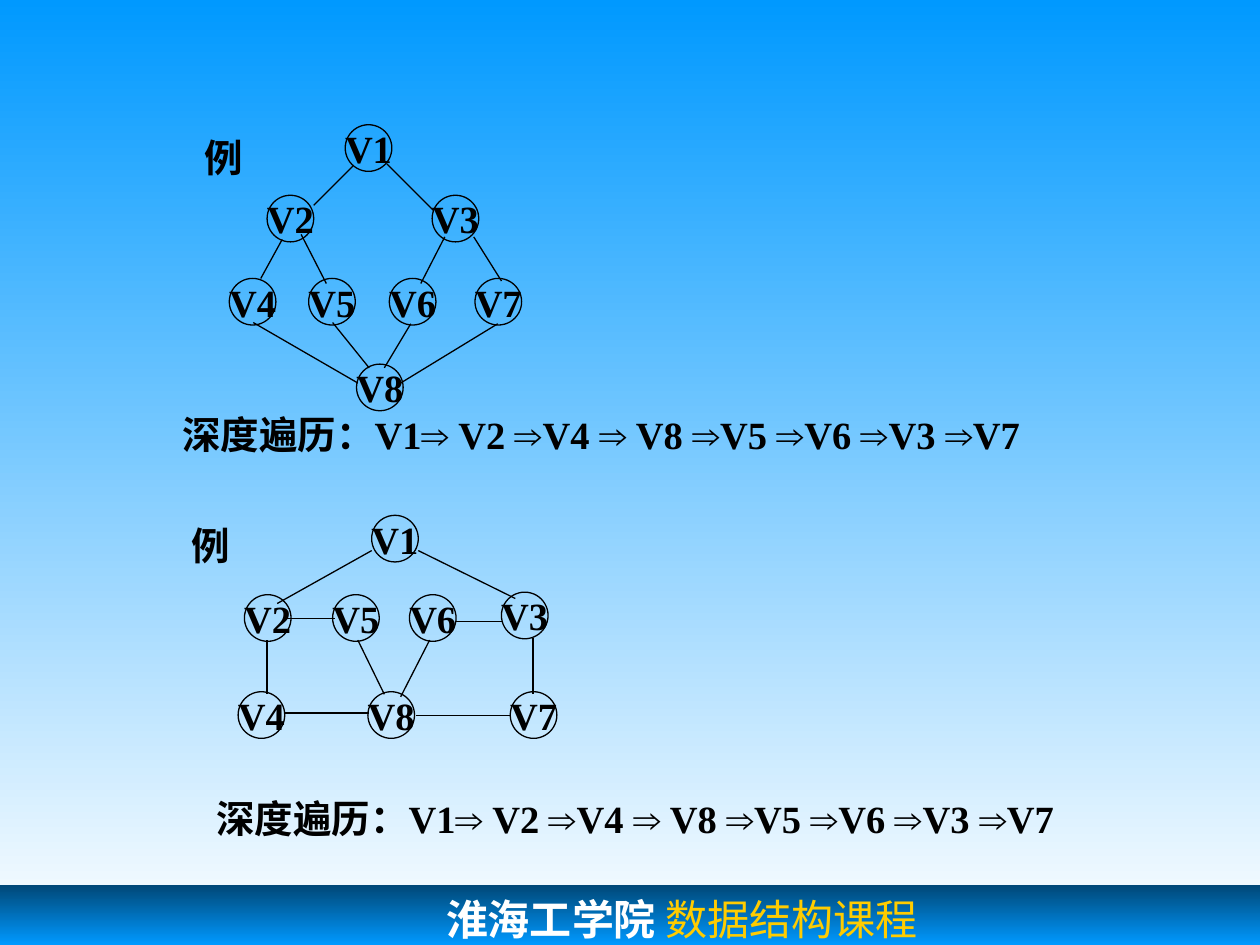
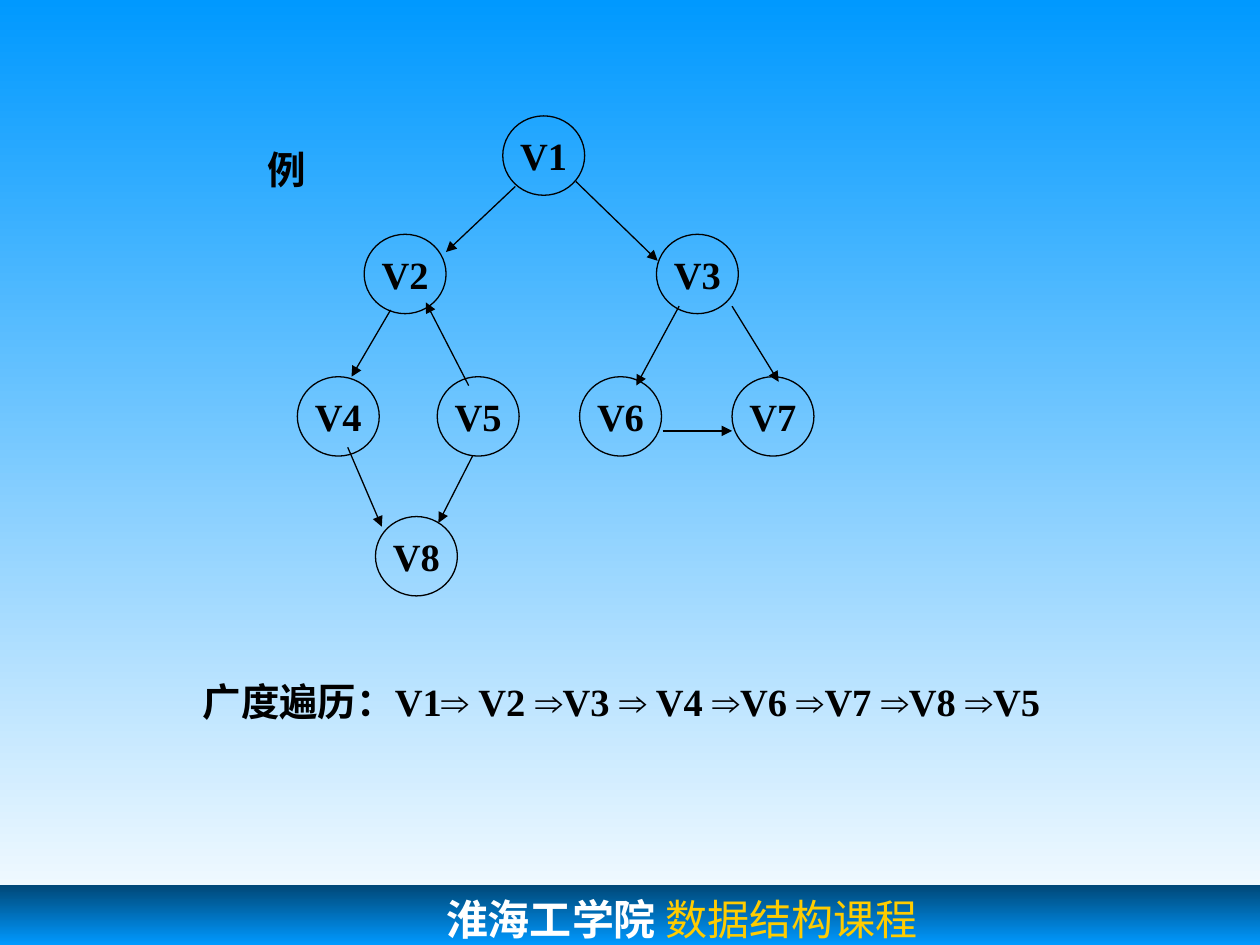
from lxml import etree
from pptx import Presentation
from pptx.dml.color import RGBColor
from pptx.enum.shapes import MSO_CONNECTOR, MSO_SHAPE
from pptx.enum.text import MSO_ANCHOR, MSO_AUTO_SIZE, PP_ALIGN
from pptx.oxml.ns import qn
from pptx.util import Inches, Pt

OVAL, RECT = MSO_SHAPE.OVAL, MSO_SHAPE.RECTANGLE
LINE = MSO_CONNECTOR.STRAIGHT
MID, TOP = MSO_ANCHOR.MIDDLE, MSO_ANCHOR.TOP
LEFT, MIDST = PP_ALIGN.LEFT, PP_ALIGN.CENTER
FIXED = MSO_AUTO_SIZE.NONE

BLACK = RGBColor(0x00, 0x00, 0x00)
WHITE = RGBColor(0xFF, 0xFF, 0xFF)
SKY = RGBColor(0x00, 0x99, 0xFF)
NAVY = RGBColor(0x00, 0x47, 0x76)
GOLD = RGBColor(0xFF, 0xCC, 0x00)

BODY = {"name": "Times New Roman", "size": Pt(22), "bold": True}
ARROW = {**BODY, "name": "Arial"}
SCHOOL = {"name": "Courier New", "size": Pt(24), "bold": True}
COURSE = {"name": "Times New Roman", "size": Pt(24), "bold": False}

CENTER = {"word_wrap": False, "vertical_anchor": MID, "auto_size": FIXED}
FLOW = {"word_wrap": True, "vertical_anchor": TOP, "auto_size": FIXED}
FOOT = {**FLOW, "margin_left": Inches(3.54), "margin_top": Inches(0.07),
        "margin_right": 0, "margin_bottom": 0}


def write(shape, runs, frame, align):
    for key, val in frame.items():
        setattr(shape.text_frame, key, val)
    para = shape.text_frame.paragraphs[0]
    para.alignment = align
    for text, look, color in runs:
        run = para.add_run()
        run.text = text
        for key, val in look.items():
            setattr(run.font, key, val)
        run.font.color.rgb = color


def shade(fill, first, last):
    fill.gradient()
    fill.gradient_angle = 270
    for stop, color in zip(fill.gradient_stops, (first, last)):
        stop.color.rgb = color


TREE = {
    "label": (1.53, 1.01), "size": (0.37, 0.37), "arrow": False,
    "nodes": {"V1": (2.74, 0.99), "V2": (2.12, 1.55), "V3": (3.43, 1.55),
              "V4": (1.82, 2.21), "V5": (2.45, 2.21), "V6": (3.09, 2.21),
              "V7": (3.77, 2.21), "V8": (2.83, 2.89)},
    "edges": [(2.8, 1.32, 2.49, 1.63), (3.07, 1.3, 3.44, 1.67),
              (2.24, 1.9, 2.07, 2.21), (2.39, 1.86, 2.59, 2.25),
              (3.53, 1.88, 3.34, 2.25), (3.76, 1.88, 3.98, 2.23),
              (2.64, 2.56, 2.93, 2.92), (3.26, 2.57, 3.05, 2.92),
              (2.01, 2.56, 2.84, 3.04), (3.95, 2.57, 3.18, 3.04)],
    "order": (1.35, 3.21),
    "text": "深度遍历：V1⇒ V2 ⇒V4 ⇒ V8 ⇒V5 ⇒V6 ⇒V3 ⇒V7",
}
MESH = {
    "label": (1.42, 4.09), "size": (0.37, 0.37), "arrow": False,
    "nodes": {"V1": (2.95, 4.09), "V2": (1.94, 4.72), "V5": (2.64, 4.72),
              "V6": (3.25, 4.72), "V3": (3.98, 4.7), "V4": (1.89, 5.49),
              "V8": (2.92, 5.49), "V7": (4.05, 5.49)},
    "edges": [(2.95, 4.37, 2.2, 4.79), (3.32, 4.37, 4.09, 4.75),
              (2.28, 4.91, 2.66, 4.91), (3.61, 4.93, 3.99, 4.93),
              (2.12, 5.08, 2.12, 5.51), (2.26, 5.66, 2.93, 5.66),
              (3.3, 5.68, 4.05, 5.68), (4.23, 5.06, 4.23, 5.51),
              (2.84, 5.08, 3.05, 5.51), (3.41, 5.08, 3.18, 5.53)],
    "order": (1.62, 6.26),
    "text": TREE["text"],
}
WIDE = {
    "label": (2.03, 1.11), "size": (0.65, 0.63), "arrow": True,
    "nodes": {"V1": (3.99, 0.92), "V2": (2.89, 1.86), "V3": (5.21, 1.86),
              "V4": (2.36, 2.99), "V5": (3.47, 2.99), "V6": (4.6, 2.99),
              "V7": (5.81, 2.99), "V8": (2.98, 4.1)},
    "edges": [(4.09, 1.48, 3.54, 2), (4.57, 1.44, 5.22, 2.07),
              (3.1, 2.46, 2.79, 2.99), (3.72, 3.06, 3.38, 2.4),
              (2.76, 3.55, 3.03, 4.18), (3.75, 3.62, 3.48, 4.15),
              (5.39, 2.43, 5.05, 3.06), (5.26, 3.42, 5.81, 3.42),
              (5.81, 2.43, 6.18, 3.03)],
    "order": (1.51, 5.33),
    "text": "广度遍历：V1⇒ V2 ⇒V3 ⇒ V4 ⇒V6 ⇒V7 ⇒V8 ⇒V5",
}

prs = Presentation()
prs.slide_width, prs.slide_height = Inches(10), Inches(7.5)
master = prs.slide_master
shade(master.background.fill, SKY, WHITE)
pages = [prs.slides.add_slide(prs.slide_layouts[6]) for _ in range(2)]

band = pages[0].shapes.add_shape(RECT, 0, Inches(7.02), Inches(10), Inches(0.48))
band.shadow.inherit = False
band.line.fill.background()
shade(band.fill, NAVY, SKY)
write(band, [("淮海工学院", SCHOOL, WHITE), (" 数据结构课程", COURSE, GOLD)], FOOT, LEFT)
master.element.cSld.spTree.append(band.element)

for page, graphs in zip(pages, ([TREE, MESH], [WIDE])):
    for graph in graphs:
        group = page.shapes.add_group_shape().shapes
        size = [Inches(v) for v in graph["size"]]
        for name, spot in graph["nodes"].items():
            node = group.add_shape(OVAL, *[Inches(v) for v in spot], *size)
            node.shadow.inherit = False
            node.fill.background()
            node.line.color.rgb = BLACK
            node.line.width = Pt(0.75)
            write(node, [(name, BODY, BLACK)], CENTER, MIDST)
        for ends in graph["edges"]:
            edge = group.add_connector(LINE, *[Inches(v) for v in ends])
            edge.line.color.rgb = BLACK
            edge.line.width = Pt(0.75)
            if graph["arrow"]:
                etree.SubElement(edge.line.fill._xPr, qn("a:tailEnd"), type="triangle")
            etree.SubElement(edge.element.spPr, qn("a:effectLst"))
        spot = [Inches(v) for v in graph["label"]]
        label = group.add_textbox(*spot, Inches(0.5), Inches(0.47))
        write(label, [("例", BODY, BLACK)], CENTER, MIDST)

        spot = [Inches(v) for v in graph["order"]]
        order = page.shapes.add_textbox(*spot, Inches(7.09), Inches(0.47))
        runs = []
        for part in graph["text"].split("⇒"):
            runs += [(part, BODY, BLACK), ("⇒", ARROW, BLACK)]
        write(order, runs[:-1], FLOW, LEFT)

prs.save("out.pptx")
